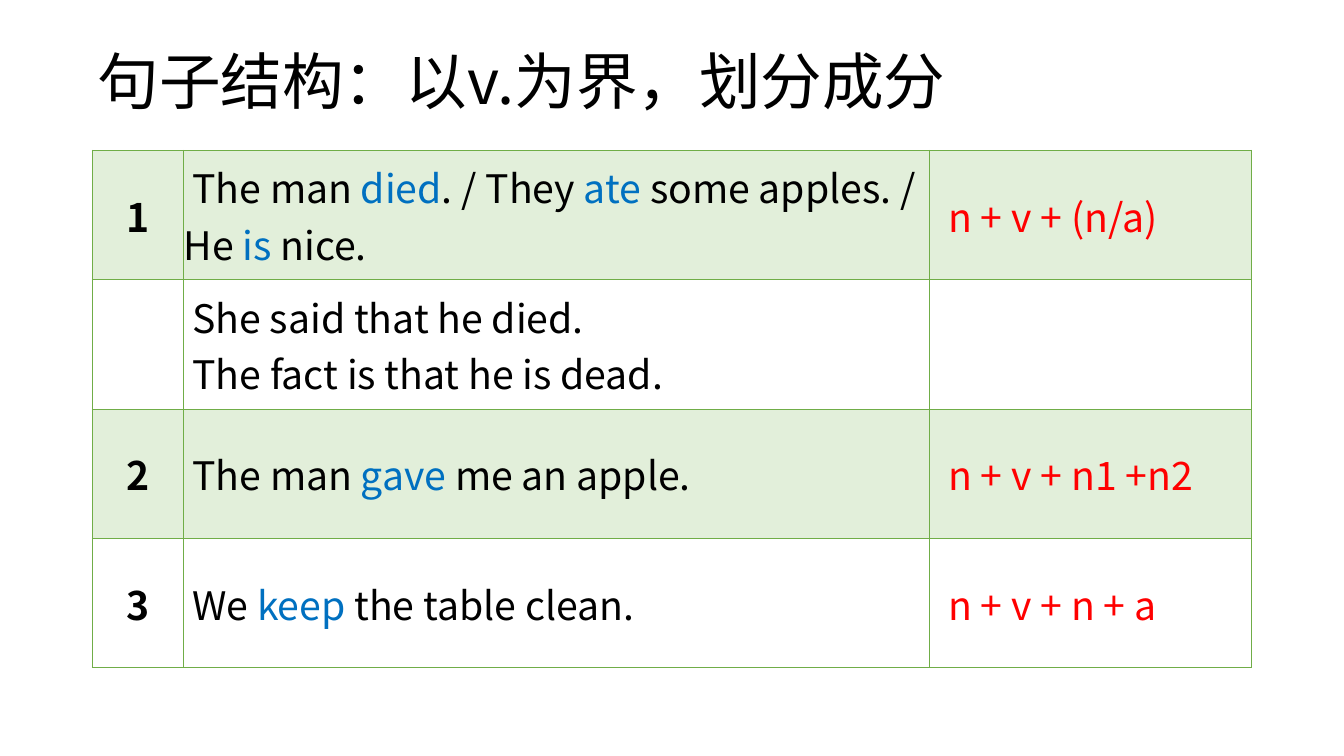
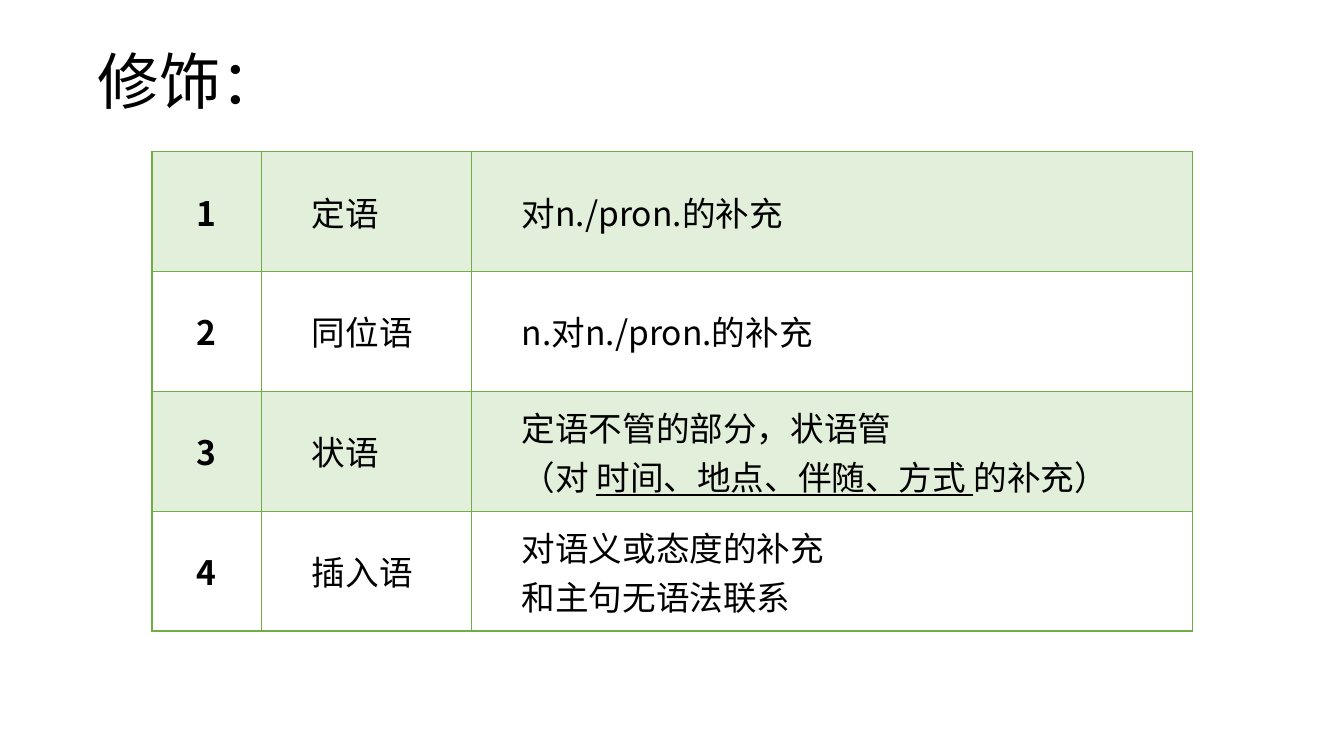
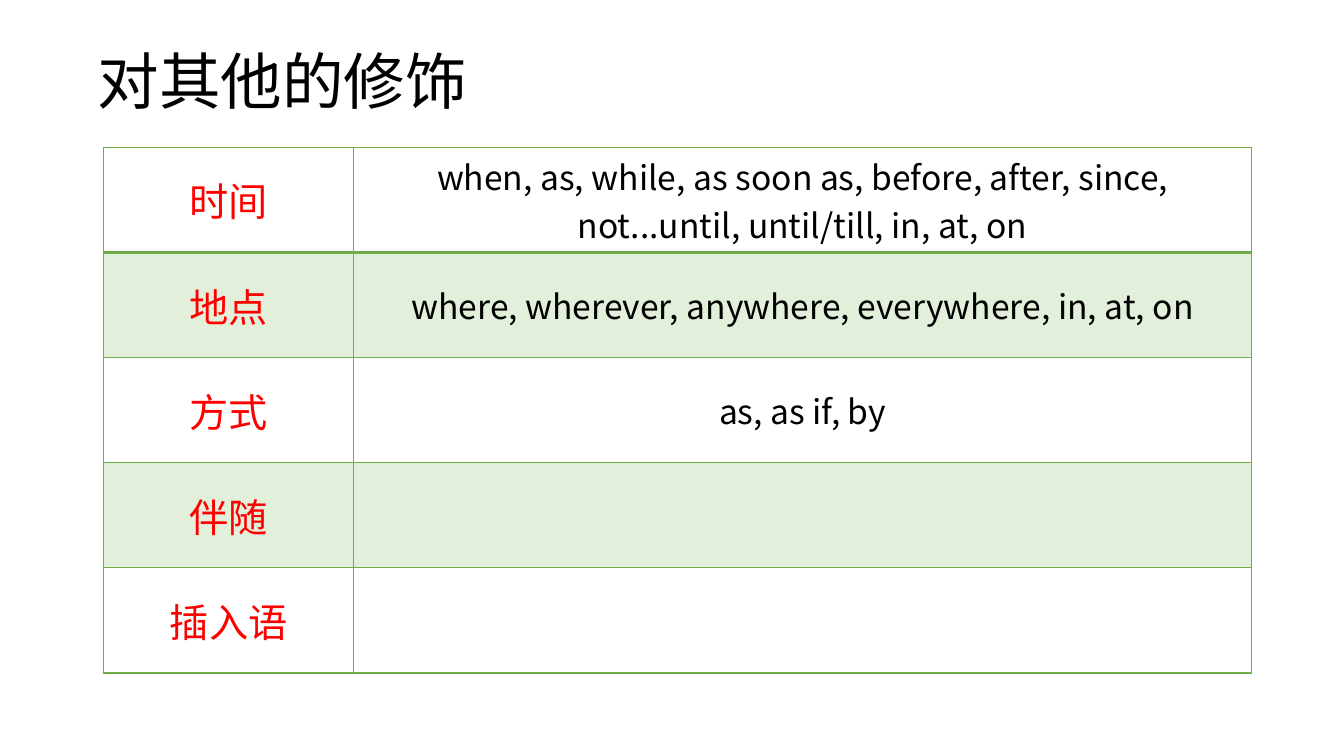
from dataclasses import dataclass

from lxml.etree import SubElement
from pptx import Presentation
from pptx.dml.color import RGBColor
from pptx.enum.text import MSO_ANCHOR, MSO_AUTO_SIZE, PP_ALIGN
from pptx.oxml.ns import qn
from pptx.util import Cm, Pt


@dataclass(frozen=True)
class Theme:
    font: str = "Noto Sans CJK SC"
    black: str = "000000"
    red: str = "FF0000"
    blue: str = "0070C0"
    border: str = "70AD47"
    shade: str = "E2EFDA"
    title_size: int = 44
    large: int = 28
    medium: int = 24
    thin: int = 1
    thick: int = 2


THEME = Theme()
TITLE_BOX = {"left": 2.33, "top": 1.02, "width": 29.21, "height": 2.21}
TITLE_STYLE = {"size": THEME.title_size, "color": THEME.black}
VERB = {"color": THEME.blue}
UNDERLINED = {"underline": True}

PAGES = [
    {
        "title": "句子结构：以v.为界，划分成分",
        "left": 2.33, "top": 3.79, "row_height": 3.26, "first_shaded": 0, "thick_lines": (),
        "columns": [
            {"width": 2.3, "align": PP_ALIGN.CENTER, "style": {"size": THEME.large, "bold": True}},
            {"width": 18.8, "first_line": 0.22, "style": {"size": THEME.large}},
            {"width": 8.1, "indent": 0.47, "style": {"size": THEME.large, "color": THEME.red}},
        ],
        "rows": [
            [["1"],
             [["The man ", ("died", VERB), ". / They ", ("ate", VERB),
               " some apples. / He ", ("is", VERB), " nice."]],
             ["n + v + (n/a)"]],
            [[], ["She said that he died.", "The fact is that he is dead."], []],
            [["2"], [["The man ", ("gave", VERB), " me an apple."]], ["n + v + n1 +n2"]],
            [["3"], [["We ", ("keep", VERB), " the table clean."]], ["n + v + n + a"]],
        ],
    },
    {
        "title": "修饰：",
        "left": 3.83, "top": 3.82, "row_height": 3.02, "first_shaded": 0, "thick_lines": (),
        "columns": [
            {"width": 2.76, "align": PP_ALIGN.CENTER, "style": {"size": THEME.medium, "bold": True}},
            {"width": 5.29, "indent": 1.27, "style": {"size": THEME.medium}},
            {"width": 18.17, "indent": 1.27, "style": {"size": THEME.medium}},
        ],
        "rows": [
            [["1"], ["定语"], ["对n./pron.的补充"]],
            [["2"], ["同位语"], ["n.对n./pron.的补充"]],
            [["3"], ["状语"],
             ["定语不管的部分，状语管",
              ["（对 ", ("时间、地点、伴随、方式 ", UNDERLINED), "的补充）"]]],
            [["4"], ["插入语"], ["对语义或态度的补充", "和主句无语法联系"]],
        ],
    },
    {
        "title": "对其他的修饰",
        "left": 2.61, "top": 3.71, "row_height": 2.65, "first_shaded": 1, "thick_lines": (1,),
        "columns": [
            {"width": 6.3, "align": PP_ALIGN.CENTER, "style": {"size": THEME.large, "color": THEME.red}},
            {"width": 22.63, "align": PP_ALIGN.CENTER, "style": {"size": THEME.medium}},
        ],
        "rows": [
            [["时间"], ["when, as, while, as soon as, before, after, since, "
                      "not...until, until/till, in, at, on"]],
            [["地点"], ["where, wherever, anywhere, everywhere, in, at, on"]],
            [["方式"], ["as, as if, by"]],
            [["伴随"], []],
            [["插入语"], []],
        ],
    },
]


def add_span(para, text, style):
    span = para.add_run()
    span.text = text
    values = {"name": THEME.font, "bold": False, "color": THEME.black, **style}
    span.font.color.rgb = RGBColor.from_string(values.pop("color"))
    values["size"] = Pt(values["size"])
    for key, value in values.items():
        setattr(span.font, key, value)
    SubElement(span.font._element, qn("a:ea"), typeface=THEME.font)


def write_paragraphs(frame, paragraphs, column):
    for number, content in enumerate(paragraphs):
        para = frame.add_paragraph() if number else frame.paragraphs[0]
        para.alignment = column.get("align", PP_ALIGN.LEFT)
        properties = para._p.get_or_add_pPr()
        properties.set("marL", str(Cm(column.get("indent", 0))))
        properties.set("indent", str(Cm(column.get("first_line", 0))))
        for part in [content] if isinstance(content, str) else content:
            text, extra = (part, {}) if isinstance(part, str) else part
            add_span(para, text, {**column["style"], **extra})


def draw_borders(cell, top, bottom):
    properties = cell._tc.get_or_add_tcPr()
    widths = {"a:lnL": THEME.thin, "a:lnR": THEME.thin, "a:lnT": top, "a:lnB": bottom}
    for tag, width in widths.items():
        line = SubElement(properties, qn(tag), w=str(Pt(width)))
        SubElement(SubElement(line, qn("a:solidFill")), qn("a:srgbClr"), val=THEME.border)


def format_cell(cell, shaded, top, bottom):
    margins = ("margin_left", "margin_right", "margin_top", "margin_bottom")
    for key, value in {**dict.fromkeys(margins, 0), "vertical_anchor": MSO_ANCHOR.MIDDLE}.items():
        setattr(cell, key, value)
    draw_borders(cell, top, bottom)
    if shaded:
        cell.fill.solid()
        cell.fill.fore_color.rgb = RGBColor.from_string(THEME.shade)
    else:
        cell.fill.background()


def add_grid(page, content):
    columns, rows = content["columns"], content["rows"]
    width = sum(column["width"] for column in columns)
    height = content["row_height"] * len(rows)
    box = page.shapes.add_table(
        len(rows), len(columns), Cm(content["left"]), Cm(content["top"]), Cm(width), Cm(height))
    table = box.table
    table.first_row = table.horz_banding = False
    for number, column in enumerate(columns):
        table.columns[number].width = Cm(column["width"])
    for row_number, row in enumerate(rows):
        table.rows[row_number].height = Cm(content["row_height"])
        shaded = row_number % 2 == content["first_shaded"]
        top, bottom = (THEME.thick if line in content["thick_lines"] else THEME.thin
                       for line in (row_number, row_number + 1))
        for number, column in enumerate(columns):
            cell = table.cell(row_number, number)
            format_cell(cell, shaded, top, bottom)
            write_paragraphs(cell.text_frame, row[number], column)


def add_titled_page(deck, text):
    page = deck.slides.add_slide(deck.slide_layouts[5])
    title = page.shapes.title
    for key, value in TITLE_BOX.items():
        setattr(title, key, Cm(value))
    frame = title.text_frame
    frame_format = {
        "word_wrap": True, "auto_size": MSO_AUTO_SIZE.NONE, "vertical_anchor": MSO_ANCHOR.MIDDLE,
        "margin_left": Cm(0.13), "margin_right": Cm(0.13),
        "margin_top": Cm(0.13), "margin_bottom": Cm(0.13),
    }
    for key, value in frame_format.items():
        setattr(frame, key, value)
    write_paragraphs(frame, [text], {"style": TITLE_STYLE})
    frame.paragraphs[0].line_spacing = 0.9
    return page


def main():
    deck = Presentation()
    deck.slide_width, deck.slide_height = Cm(33.87), Cm(19.05)
    for content in PAGES:
        add_grid(add_titled_page(deck, content["title"]), content)
    deck.save("out.pptx")


if __name__ == "__main__":
    main()
